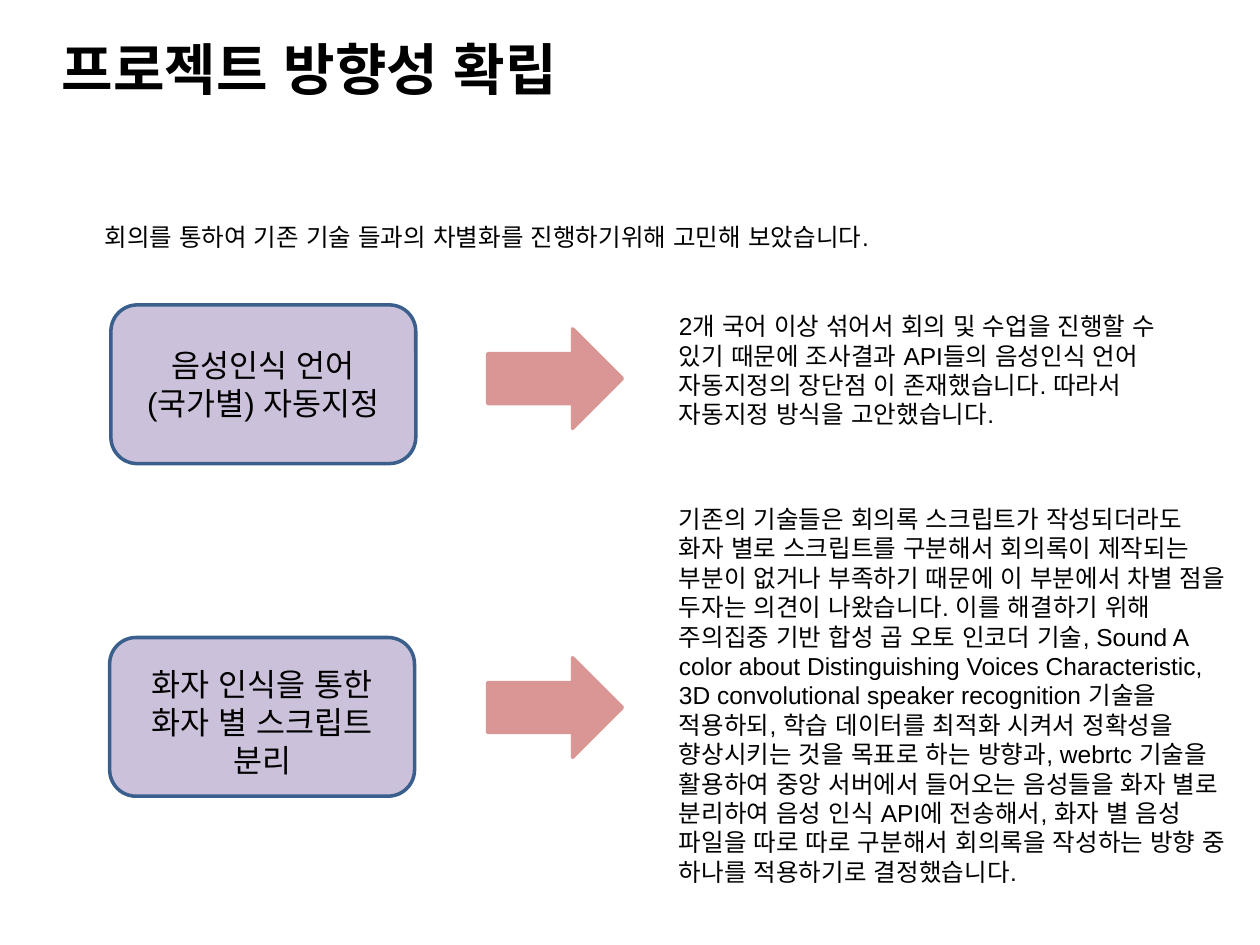
"""Build the project direction slide: two ideas, each with an arrow to its reason."""
from lxml.etree import SubElement
from pptx import Presentation
from pptx.dml.color import RGBColor
from pptx.enum.shapes import MSO_SHAPE
from pptx.enum.text import MSO_ANCHOR, PP_ALIGN
from pptx.oxml.ns import qn
from pptx.util import Inches, Pt

BLACK = RGBColor(0x00, 0x00, 0x00)
LILAC = RGBColor(0xCC, 0xC1, 0xDA)
BLUE = RGBColor(0x3A, 0x5F, 0x8C)
ROSE = RGBColor(0xD9, 0x96, 0x94)
LATIN, KOREAN = "Arial", "Noto Sans CJK KR"

TITLE = "프로젝트 방향성 확립"
INTRO = "회의를 통하여 기존 기술 들과의 차별화를 진행하기위해 고민해 보았습니다."
IDEAS = [
    {
        "name": "음성인식 언어(국가별) 자동지정",
        "font": LATIN,
        "box": (0.88, 2.42),
        "inset_top": 0.05,
        "arrow_top": 2.61,
        "reason": "2개 국어 이상 섞어서 회의 및 수업을 진행할 수 있기 때문에 조사결과 "
                  "API들의 음성인식 언어 자동지정의 장단점 이 존재했습니다. 따라서 "
                  "자동지정 방식을 고안했습니다.",
        "reason_at": (5.29, 2.42, 4.27, 1.04),
    },
    {
        "name": "화자 인식을 통한 화자 별 스크립트 분리",
        "font": KOREAN,
        "box": (0.87, 5.06),
        "inset_top": 0.13,
        "arrow_top": 5.22,
        "reason": "기존의 기술들은 회의록 스크립트가 작성되더라도 화자 별로 스크립트를 "
                  "구분해서 회의록이 제작되는 부분이 없거나 부족하기 때문에 이 부분에서 "
                  "차별 점을 두자는 의견이 나왔습니다. 이를 해결하기 위해 주의집중 기반 "
                  "합성 곱 오토 인코더 기술, Sound A color about Distinguishing Voices "
                  "Characteristic, 3D convolutional speaker recognition 기술을 적용하되, "
                  "학습 데이터를 최적화 시켜서 정확성을 향상시키는 것을 목표로 하는 방향과, "
                  "webrtc 기술을 활용하여 중앙 서버에서 들어오는 음성들을 화자 별로 "
                  "분리하여 음성 인식 API에 전송해서, 화자 별 음성 파일을 따로 따로 "
                  "구분해서 회의록을 작성하는 방향 중 하나를 적용하기로 결정했습니다.",
        "reason_at": (5.29, 3.95, 4.6, 3.4),
    },
]
BOX_SIZE = (2.42, 1.26)
ARROW_LEFT, ARROW_SIZE = 3.87, (1.07, 0.79)


def put_text(sp, text, *, size=14, font=LATIN, bold=False,
             align=PP_ALIGN.LEFT, anchor=MSO_ANCHOR.TOP, inset_top=0.05):
    tf = sp.text_frame
    tf.word_wrap = True
    tf.vertical_anchor = anchor
    tf.margin_top = Inches(inset_top)
    p = tf.paragraphs[0]
    p.alignment = align
    r = p.add_run()
    r.text = text
    r.font.size = Pt(size)
    r.font.name = font
    r.font.bold = bold
    r.font.color.rgb = BLACK
    SubElement(r._r.get_or_add_rPr(), qn("a:ea"), typeface=LATIN)


def add_box(s, at):
    return s.shapes.add_textbox(*map(Inches, at))


def add_shape(s, kind, at, fill, line):
    sp = s.shapes.add_shape(kind, *map(Inches, at))
    sp.shadow.inherit = False
    sp.fill.solid()
    sp.fill.fore_color.rgb = fill
    sp.line.color.rgb = line
    sp.line.width = Pt(2)
    return sp


def main():
    prs = Presentation()
    prs.slide_width, prs.slide_height = Inches(10), Inches(7.5)
    s = prs.slides.add_slide(prs.slide_layouts[6])

    put_text(add_box(s, (0.39, 0.22, 9, 0.64)), TITLE, size=32, font=KOREAN,
             bold=True, anchor=MSO_ANCHOR.MIDDLE)
    put_text(add_box(s, (0.73, 1.71, 7.31, 0.34)), INTRO)

    for idea in IDEAS:
        sp = add_shape(s, MSO_SHAPE.ROUNDED_RECTANGLE, idea["box"] + BOX_SIZE, LILAC, BLUE)
        put_text(sp, idea["name"], size=18, font=idea["font"], align=PP_ALIGN.CENTER,
                 anchor=MSO_ANCHOR.MIDDLE, inset_top=idea["inset_top"])
        add_shape(s, MSO_SHAPE.RIGHT_ARROW, (ARROW_LEFT, idea["arrow_top"]) + ARROW_SIZE,
                  ROSE, ROSE)
        put_text(add_box(s, idea["reason_at"]), idea["reason"])

    prs.save("out.pptx")


if __name__ == "__main__":
    main()
